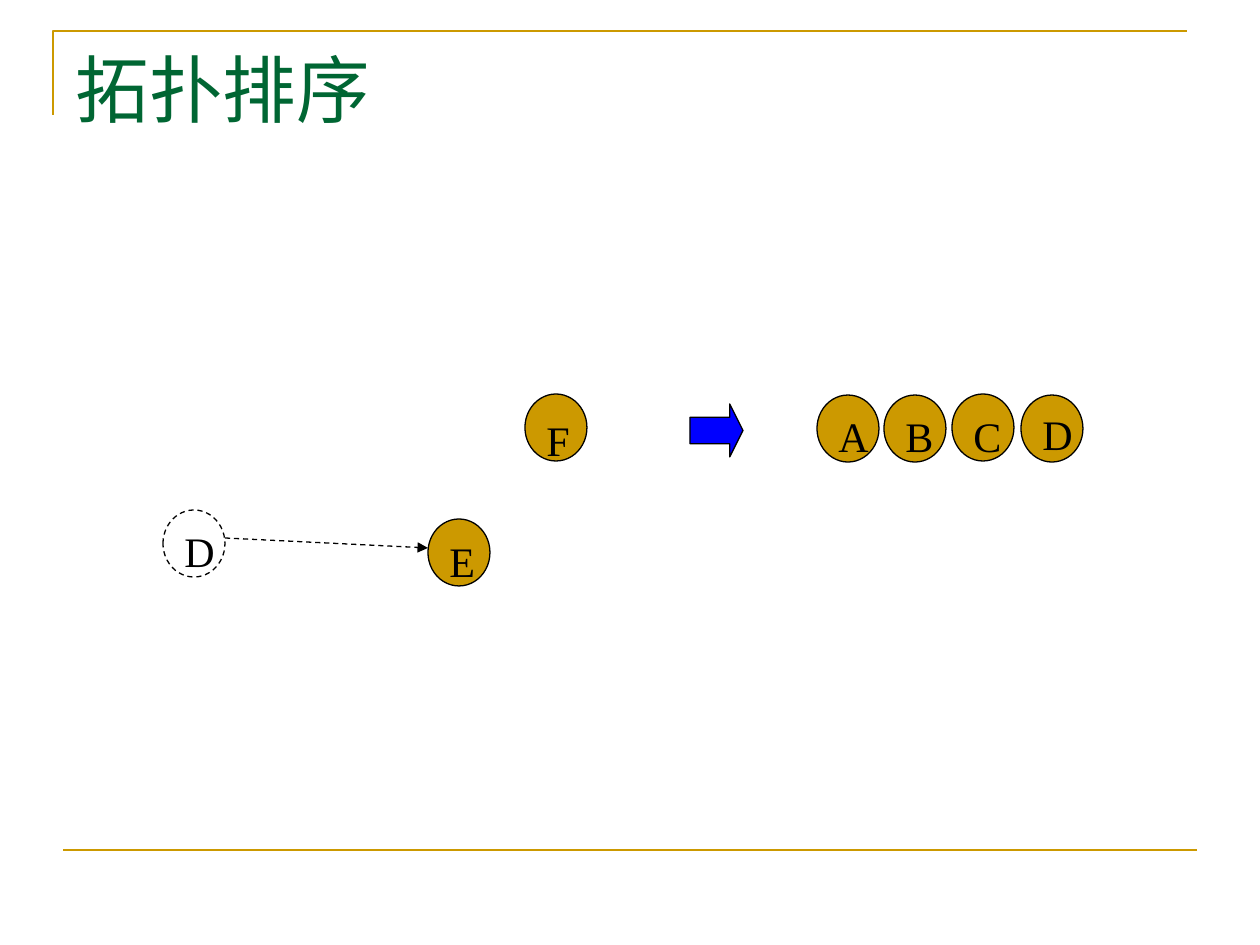
import pptx
import pptx.util
import pptx.dml.color
import pptx.enum.dml
import pptx.enum.shapes
import pptx.enum.text
import pptx.oxml.ns
import lxml.etree

PX = pptx.util.Inches(1) / 126
GOLD = pptx.dml.color.RGBColor(0xCC, 0x99, 0x00)
GREEN = pptx.dml.color.RGBColor(0x00, 0x66, 0x33)
BLUE = pptx.dml.color.RGBColor(0x00, 0x00, 0xFF)
BLACK = pptx.dml.color.RGBColor(0x00, 0x00, 0x00)
FONT = "Times New Roman"
SHAPES = pptx.enum.shapes.MSO_SHAPE
NODE_WIDTH, NODE_HEIGHT = 62, 67


def px(*lengths):
    return [round(length * PX) for length in lengths]


def set_line(line, color, points, dashed=False):
    line.color.rgb = color
    line.width = pptx.util.Pt(points)
    if dashed:
        line.dash_style = pptx.enum.dml.MSO_LINE.DASH


def set_font(para, size, color):
    para.font.name = FONT
    para.font.size = pptx.util.Pt(size)
    para.font.color.rgb = color


def add_shape(page, kind, box, fill, dashed=False):
    shape = page.shapes.add_shape(kind, *px(*box))
    shape.shadow.inherit = False
    if fill is None:
        shape.fill.background()
    else:
        shape.fill.solid()
        shape.fill.fore_color.rgb = fill
    set_line(shape.line, BLACK, 0.75, dashed)
    return shape


def add_line(page, start, end, color, points, dashed=False):
    line = page.shapes.add_connector(
        pptx.enum.shapes.MSO_CONNECTOR.STRAIGHT, *px(*start, *end))
    set_line(line.line, color, points, dashed)
    properties = line._element.spPr
    lxml.etree.SubElement(properties, pptx.oxml.ns.qn("a:effectLst"))
    return line


def add_node(page, left, top, letter, drop, done=False):
    add_shape(page, SHAPES.OVAL, (left, top, NODE_WIDTH, NODE_HEIGHT),
              None if done else GOLD, done)
    label = page.shapes.add_textbox(*px(left + 9, top + drop, 42, 63))
    frame = label.text_frame
    frame.word_wrap = True
    frame.margin_top = px(11)[0]
    para = frame.paragraphs[0]
    para.text = letter
    set_font(para, 24, BLACK)


def add_frame(page, left, top, width, height):
    builder = page.shapes.build_freeform(*px(left, top + 84))
    builder.add_line_segments(
        [px(left, top), px(left + width, top)], close=False)
    corner = builder.convert_to_shape()
    corner.shadow.inherit = False
    corner.fill.background()
    set_line(corner.line, GOLD, 1.5)
    bottom = top + height
    add_line(page, (left + 10, bottom), (left + 10 + width, bottom), GOLD, 1.5)


def add_title(page, left, top, width, height):
    title = page.shapes.title
    title.left, title.top, title.width, title.height = px(
        left, top, width, height)
    frame = title.text_frame
    frame.auto_size = pptx.enum.text.MSO_AUTO_SIZE.NONE
    frame.vertical_anchor = pptx.enum.text.MSO_ANCHOR.TOP
    para = frame.paragraphs[0]
    para.text = "拓扑排序"
    para.alignment = pptx.enum.text.PP_ALIGN.LEFT
    set_font(para, 42, GREEN)


def add_graph(page, left, top):
    add_node(page, left, top + 116, "D", 4, done=True)
    edge = add_line(page, (left + NODE_WIDTH, top + 144),
                    (left + 265, top + 154), BLACK, 0.75, True)
    lxml.etree.SubElement(edge.line._get_or_add_ln(),
                          pptx.oxml.ns.qn("a:tailEnd"), type="triangle")
    add_node(page, left + 362, top, "F", 10)
    add_node(page, left + 265, top + 125, "E", 6)


def add_order(page, left, top):
    arrow = add_shape(page, SHAPES.RIGHT_ARROW, (left, top + 10, 53, 53), BLUE)
    arrow.adjustments[0] = 0.5
    arrow.adjustments[1] = 0.25
    nodes = [("A", 127, 1, 5), ("B", 194, 1, 5),
             ("C", 262, 0, 6), ("D", 331, 1, 3)]
    for letter, across, down, drop in nodes:
        add_node(page, left + across, top + down, letter, drop)


def main():
    deck = pptx.Presentation()
    deck.slide_width, deck.slide_height = px(1260, 945)
    page = deck.slides.add_slide(deck.slide_layouts[5])
    add_frame(page, 53, 31, 1134, 819)
    add_title(page, 63, 38, 1134, 157)
    add_graph(page, 163, 394)
    add_order(page, 690, 394)
    deck.save("out.pptx")


if __name__ == "__main__":
    main()
